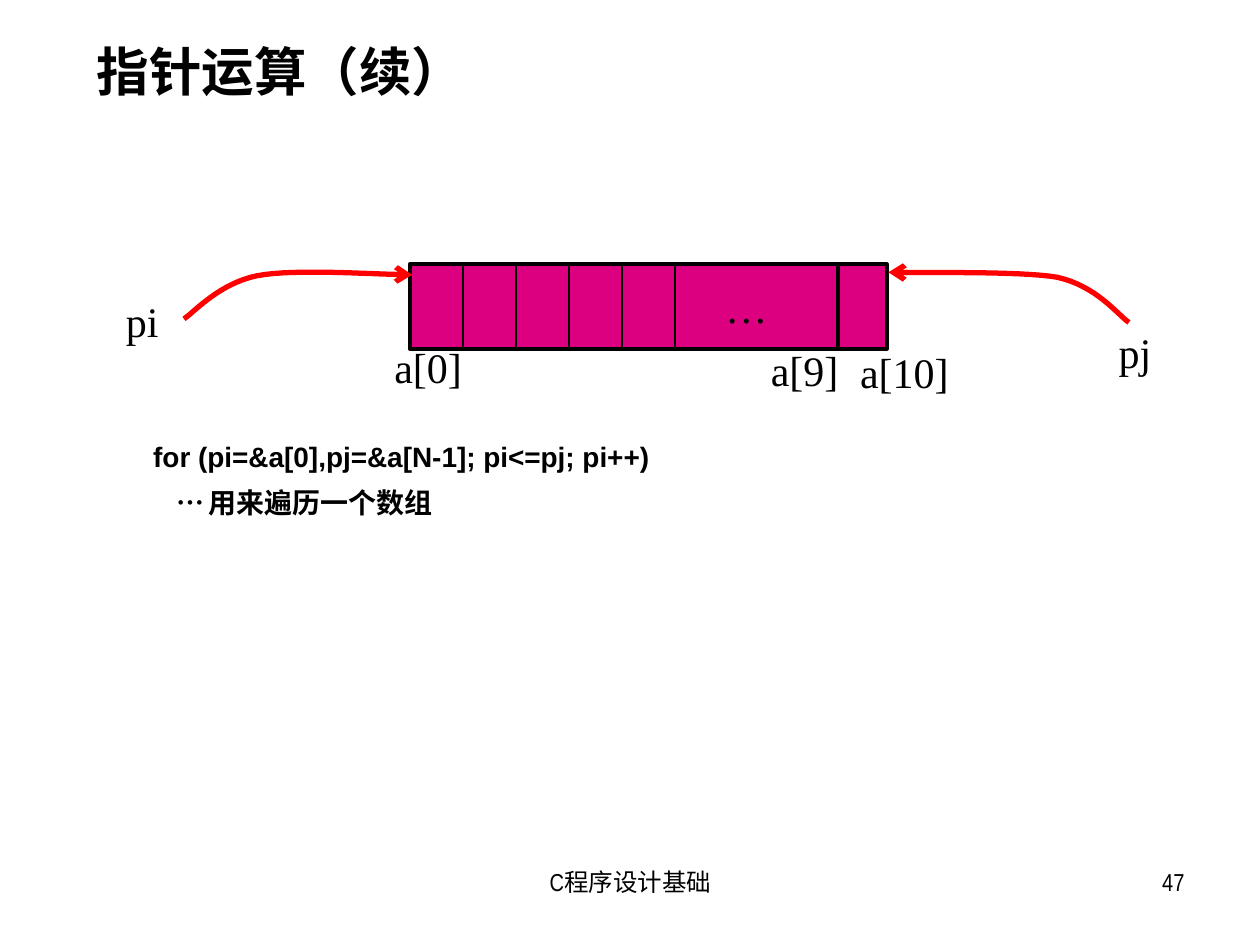
import pptx
import pptx.util
import pptx.dml.color
import pptx.enum.shapes
import pptx.enum.text
import pptx.oxml
import pptx.oxml.ns
from lxml import etree

Cm, Pt = pptx.util.Cm, pptx.util.Pt
ALIGN = pptx.enum.text.PP_ALIGN
MIDDLE = pptx.enum.text.MSO_ANCHOR.MIDDLE
RECTANGLE = pptx.enum.shapes.MSO_SHAPE.RECTANGLE
STRAIGHT = pptx.enum.shapes.MSO_CONNECTOR.STRAIGHT
qn = pptx.oxml.ns.qn
color = pptx.dml.color.RGBColor.from_string
BLACK, RED, MAGENTA = "000000", "FF0000", "DC0081"


def style(paragraph, font, size, bold=False, align=ALIGN.LEFT):
    paragraph.alignment = align
    paragraph.font.name = font
    paragraph.font.size = Pt(size)
    paragraph.font.bold = bold
    paragraph.font.color.rgb = color(BLACK)


def add_text(text, left, top, width, height, font, size, bold=False, align=ALIGN.LEFT):
    box = slide.shapes.add_textbox(Cm(left), Cm(top), Cm(width), Cm(height))
    box.text_frame.word_wrap = True
    box.text_frame.text = text
    for paragraph in box.text_frame.paragraphs:
        style(paragraph, font, size, bold, align)
    return box


presentation = pptx.Presentation()
presentation.slide_width, presentation.slide_height = Cm(25.4), Cm(19.05)
slide = presentation.slides.add_slide(presentation.slide_layouts[5])

# Title
title = slide.shapes.title
title.left, title.top, title.width, title.height = Cm(1.7), Cm(0.53), Cm(22.76), Cm(2.01)
title.text_frame.text = "指针运算（续）"
title.text_frame.vertical_anchor = MIDDLE
style(title.text_frame.paragraphs[0], "Arial Narrow", 30, bold=True)
title.text_frame.paragraphs[0].line_spacing = 0.8

# Footer and page number
add_text("C程序设计基础", 8.69, 17.35, 8.05, 1.32, "Arial Narrow", 14, align=ALIGN.CENTER)
add_text("47", 18.21, 17.35, 5.92, 1.32, "Arial Narrow", 14, align=ALIGN.RIGHT)

# Array block and the cell past its end
array_left, array_top, array_height = 8.26, 5.33, 1.7
blocks = []
for left, width in [(array_left, 8.74), (16.89, 0.99)]:
    block = slide.shapes.add_shape(RECTANGLE, Cm(left), Cm(array_top), Cm(width), Cm(array_height))
    block.shadow.inherit = False
    block.fill.solid()
    block.fill.fore_color.rgb = color(MAGENTA)
    block.line.color.rgb = color(BLACK)
    block.line.width = Pt(2.25)
    blocks.append(block)

# Ellipsis over the undivided right part of the array
frame = blocks[0].text_frame
frame.margin_left = Cm(5.08)
frame.vertical_anchor = MIDDLE
frame.text = "…"
style(frame.paragraphs[0], "Times New Roman", 24, align=ALIGN.CENTER)

# Cell dividers
for index in range(1, 6):
    x = Cm(array_left + index * 1.07)
    divider = slide.shapes.add_connector(STRAIGHT, x, Cm(array_top), x, Cm(array_top + array_height))
    divider.line.color.rgb = color(BLACK)
    divider.line.width = Pt(1)
    etree.SubElement(divider._element.spPr, qn("a:effectLst"))

# Element and pointer labels
for text, left, top, width in [
    ("a[0]", 7.7, 6.76, 1.88),
    ("a[9]", 15.29, 6.83, 2.59),
    ("a[10]", 17.09, 6.86, 2.59),
    ("pi", 2.29, 5.84, 1.5),
    ("pj", 22.3, 6.45, 1.42),
]:
    add_text(text, left, top, width, 1.27, "Times New Roman", 24)

# Pointer arrows: each is two cubic Bézier segments sharing an end point
pointer_curves = [
    [(3.71, 6.43), (3.94, 6.27), (4.42, 5.72), (5.18, 5.56), (5.94, 5.41), (7.65, 5.54), (8.31, 5.54)],
    [(22.76, 6.5), (22.53, 6.35), (22.12, 5.77), (21.31, 5.59), (20.55, 5.46), (18.62, 5.51), (17.91, 5.49)],
]
steps = 16
for curve in pointer_curves:
    points = []
    for start in (0, 3):
        for step in range(1, steps + 1):
            t = step / steps
            weights = ((1 - t) ** 3, 3 * t * (1 - t) ** 2, 3 * t ** 2 * (1 - t), t ** 3)
            controls = curve[start:start + 4]
            points.append(tuple(Cm(sum(w * point[axis] for w, point in zip(weights, controls)))
                                for axis in (0, 1)))
    builder = slide.shapes.build_freeform(Cm(curve[0][0]), Cm(curve[0][1]))
    builder.add_line_segments(points, close=False)
    arrow = builder.convert_to_shape()
    arrow.shadow.inherit = False
    arrow.fill.background()
    arrow.line.color.rgb = color(RED)
    arrow.line.width = Pt(3)
    etree.SubElement(arrow.line._get_or_add_ln(), qn("a:tailEnd"), type="arrow")

# Code with its remark, placed by first-line indents and a tab stop
code = add_text("for (pi=&a[0],pj=&a[N-1]; pi<=pj; pi++)\n…\t用来遍历一个数组",
                2.69, 8.74, 21.31, 1.96, "Arial", 16, bold=True)
loop, body = code.text_frame.paragraphs
body.space_before = Pt(7)
for paragraph, indent in [(loop, 0.15), (body, 0.62)]:
    paragraph._p.get_or_add_pPr().set("indent", str(Cm(indent)))
tab_list = pptx.oxml.parse_xml(
    f'<a:tabLst {pptx.oxml.ns.nsdecls("a")}><a:tab pos="{Cm(7.65)}" algn="l"/></a:tabLst>')
body._p.pPr.find(qn("a:defRPr")).addprevious(tab_list)

presentation.save("out.pptx")
